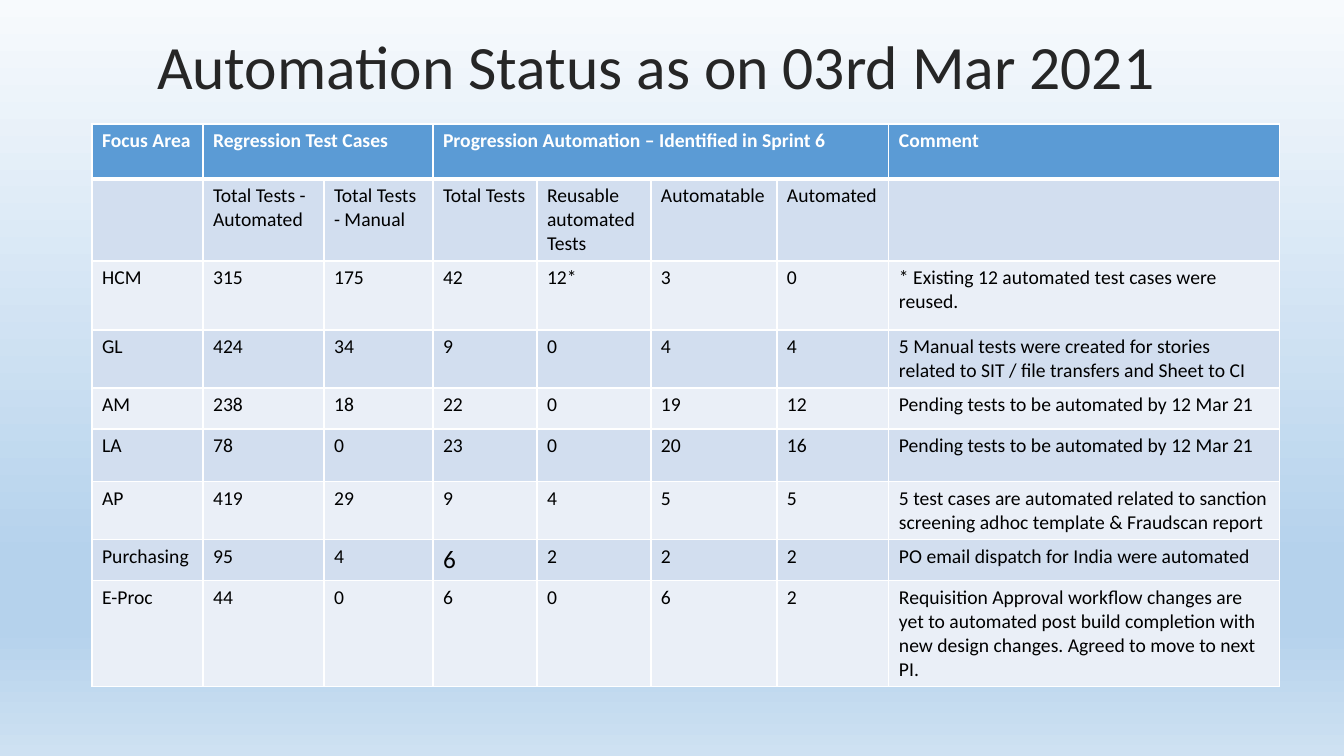
import pptx
import pptx.dml.color
import pptx.enum.text
import pptx.oxml
import pptx.oxml.ns
import pptx.util

EMU_PER_PX = 914400 / 100.8
COLORS = {
    "title": "262626",
    "header": "5B9BD5",
    "odd": "D2DEEF",
    "even": "EAEFF7",
    "white": "FFFFFF",
    "black": "000000",
}
BACKGROUND_STOPS = [(0, "F7FAFD"), (74, "B5D2EC"), (83, "B5D2EC"), (100, "CEE1F2")]
TITLE_FONT = {"name": "Calibri", "size": pptx.util.Pt(44)}
HEADER_FONT = {"name": "Calibri", "size": pptx.util.Pt(14), "bold": True}
BODY_FONT = {"name": "Calibri", "size": pptx.util.Pt(14), "bold": False}
LARGE_FONT = {**BODY_FONT, "size": pptx.util.Pt(18)}
TITLE_FRAME = {"word_wrap": True, "vertical_anchor": pptx.enum.text.MSO_ANCHOR.MIDDLE}
TITLE_PARAGRAPH = {"alignment": pptx.enum.text.PP_ALIGN.CENTER, "line_spacing": 0.9}

COLUMN_WIDTHS = [111, 121, 109, 104, 114, 126, 112, 391]
ROW_HEIGHTS = [55, 82, 69, 58, 41, 53, 58, 41, 106]
HEADER_SPANS = [(1, 2), (3, 6)]
LARGE_CELL = (7, 3)
STATUS_ROWS = [
    ["Focus Area", "Regression Test Cases", "",
     "Progression Automation – Identified in Sprint 6", "", "", "", "Comment"],
    ["", "Total Tests - Automated", "Total Tests - Manual", "Total Tests",
     "Reusable automated Tests", "Automatable", "Automated", ""],
    ["HCM", "315", "175", "42", "12*", "3", "0",
     "* Existing 12 automated test cases were reused."],
    ["GL", "424", "34", "9", "0", "4", "4",
     "5 Manual tests were created for stories related to SIT / file transfers and Sheet to CI"],
    ["AM", "238", "18", "22", "0", "19", "12",
     "Pending tests to be automated by 12 Mar 21"],
    ["LA", "78", "0", "23", "0", "20", "16",
     "Pending tests to be automated by 12 Mar 21"],
    ["AP", "419", "29", "9", "4", "5", "5",
     "5 test cases are automated related to sanction screening adhoc template & Fraudscan report"],
    ["Purchasing", "95", "4", "6", "2", "2", "2",
     "PO email dispatch for India were automated"],
    ["E-Proc", "44", "0", "6", "0", "6", "2",
     "Requisition Approval workflow changes are yet to automated post build completion "
     "with new design changes. Agreed to move to next PI."],
]


def px(length):
    return pptx.util.Emu(round(length * EMU_PER_PX))


def rgb(color):
    return pptx.dml.color.RGBColor.from_string(color)


def apply_format(target, values):
    for name, value in values.items():
        setattr(target, name, value)


def write_text(paragraph, text, font_values, color):
    run = paragraph.add_run()
    run.text = text
    apply_format(run.font, font_values)
    run.font.color.rgb = rgb(COLORS[color])


def set_background(slide):
    fill = slide.background.fill
    fill.gradient()
    fill.gradient_angle = 270
    stops = slide.element.find(".//" + pptx.oxml.ns.qn("a:gsLst"))
    for stop in list(stops):
        stops.remove(stop)
    for position, color in BACKGROUND_STOPS:
        stops.append(pptx.oxml.parse_xml(
            f'<a:gs {pptx.oxml.ns.nsdecls("a")} pos="{position * 1000}">'
            f'<a:srgbClr val="{color}"/></a:gs>'))


def add_title(slide, text, left, top, width, height):
    shape = slide.shapes.add_textbox(px(left), px(top), px(width), px(height))
    apply_format(shape.text_frame, TITLE_FRAME)
    paragraph = shape.text_frame.paragraphs[0]
    apply_format(paragraph, TITLE_PARAGRAPH)
    write_text(paragraph, text, TITLE_FONT, "title")


def set_borders(cell, top_width, bottom_width):
    properties = cell._tc.get_or_add_tcPr()
    widths = {"lnL": 1, "lnR": 1, "lnT": top_width, "lnB": bottom_width}
    for tag, width in widths.items():
        properties.append(pptx.oxml.parse_xml(
            f'<a:{tag} {pptx.oxml.ns.nsdecls("a")} w="{pptx.util.Pt(width)}">'
            f'<a:solidFill><a:srgbClr val="{COLORS["white"]}"/></a:solidFill></a:{tag}>'))


def fill_cell(cell, text, row, column):
    set_borders(cell, 3 if row == 1 else 1, 3 if row == 0 else 1)
    cell.fill.solid()
    band = "header" if row == 0 else "odd" if row % 2 else "even"
    cell.fill.fore_color.rgb = rgb(COLORS[band])
    if text:
        font = LARGE_FONT if (row, column) == LARGE_CELL else BODY_FONT
        write_text(cell.text_frame.paragraphs[0], text,
                   HEADER_FONT if row == 0 else font,
                   "white" if row == 0 else "black")


def add_status_table(slide, left, top):
    table = slide.shapes.add_table(
        len(ROW_HEIGHTS), len(COLUMN_WIDTHS), px(left), px(top),
        px(sum(COLUMN_WIDTHS)), px(sum(ROW_HEIGHTS))).table
    for column, width in zip(table.columns, COLUMN_WIDTHS):
        column.width = px(width)
    for row, height in zip(table.rows, ROW_HEIGHTS):
        row.height = px(height)
    for first, last in HEADER_SPANS:
        table.cell(0, first).merge(table.cell(0, last))
    for row, texts in enumerate(STATUS_ROWS):
        for column, text in enumerate(texts):
            fill_cell(table.cell(row, column), text, row, column)


def main():
    presentation = pptx.Presentation()
    apply_format(presentation, {"slide_width": px(1344), "slide_height": px(756)})
    slide = presentation.slides.add_slide(presentation.slide_layouts[6])
    set_background(slide)
    add_title(slide, "Automation Status as on 03rd Mar 2021", 77, 13, 1159, 113)
    add_status_table(slide, 92, 124)
    presentation.save("out.pptx")


if __name__ == "__main__":
    main()
